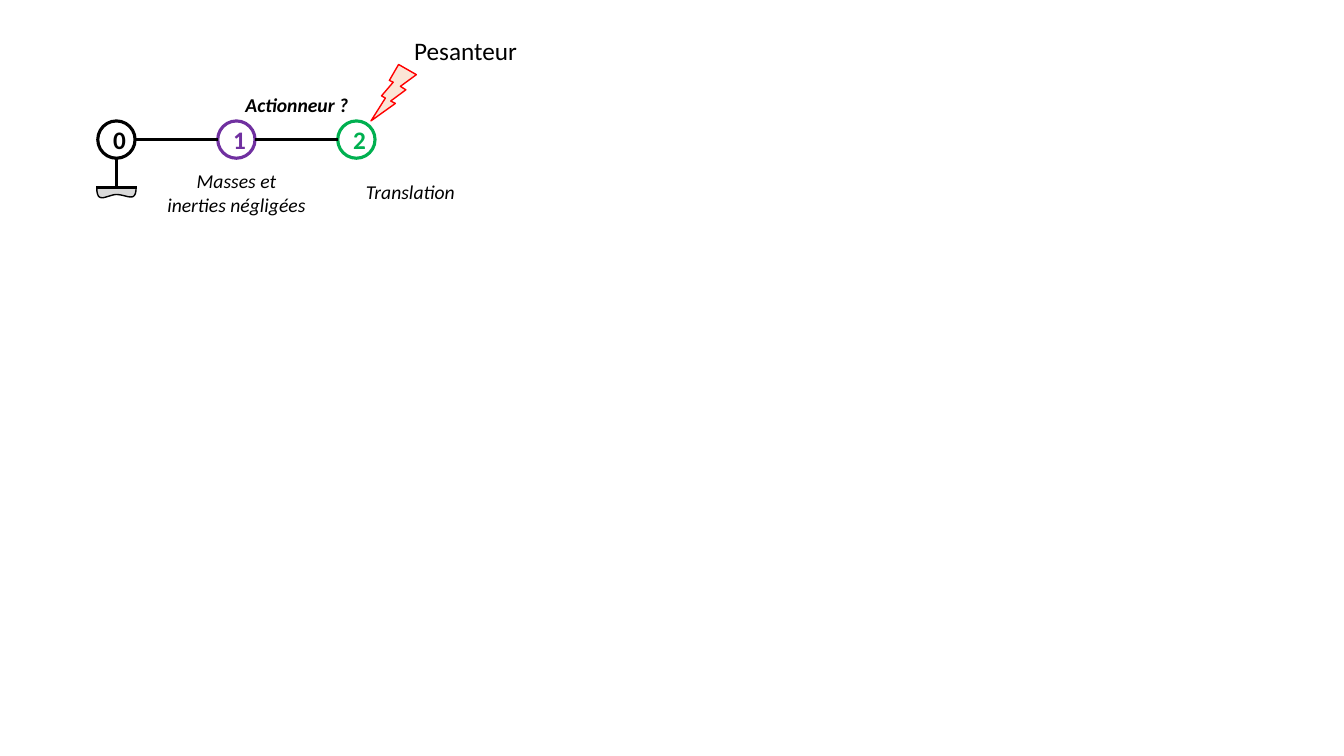
from pptx import Presentation
from pptx.dml.color import RGBColor
from pptx.enum import shapes as sh, text as tx
from pptx.oxml.ns import qn
from pptx.util import Inches, Pt
from lxml import etree

HEX = {"ink": "000000", "violet": "7030A0", "green": "00B050",
       "red": "FF0000", "peach": "FBE5D6", "grey": "D9D9D9"}
FONT = "Calibri"
DIAM, LEFT, TOP, STEP = 0.37, 0.97, 1.2, 1.19
THICK, THIN = 2.25, 1

SOLIDS = [("0", "ink"), ("1", "violet"), ("2", "green")]

# text, box, size, bold, italic, centred
LABELS = [
    ("Pesanteur", (4.01, 0.3, 2, 0.4), 18, False, False, False),
    ("Translation", (3.53, 1.74, 1.61, 0.34), 14, False, True, False),
    ("Masses et inerties négligées", (1.54, 1.63, 1.61, 0.57), 14, False, True, True),
    ("Actionneur ?", (2.14, 0.87, 1.61, 0.34), 14, True, True, True),
]
BOLT = (3.68, 0.64, 0.45, 0.56)
GROUND = 1.86
SOIL = [
    [(0.96, 1.86), (0.96, 2.03), (1.05, 1.94), (1.15, 1.93)],
    [(1.15, 1.93), (1.26, 1.93), (1.35, 2.02), (1.35, 1.86)],
]


def color(name):
    """Return the named colour."""
    return RGBColor.from_string(HEX[name])


def paint(shape, line, width, fill=None):
    """Set outline and fill, without shadow."""
    shape.shadow.inherit = False
    shape.line.color.rgb = color(line)
    shape.line.width = Pt(width)
    if fill:
        shape.fill.solid()
        shape.fill.fore_color.rgb = color(fill)
    else:
        shape.fill.background()


def write(shape, words, size, tint="ink", bold=False, italic=False, mid=True):
    """Put one formatted paragraph in a shape."""
    frame = shape.text_frame
    frame.word_wrap = True
    frame.text = words
    para = frame.paragraphs[0]
    para.alignment = tx.PP_ALIGN.CENTER if mid else tx.PP_ALIGN.LEFT
    font = para.runs[0].font
    font.name, font.size = FONT, Pt(size)
    font.bold, font.italic = bold, italic
    font.color.rgb = color(tint)


def link(x1, y1, x2, y2):
    """Draw a thick straight line."""
    line = slide.shapes.add_connector(
        sh.MSO_CONNECTOR.STRAIGHT, *map(Inches, (x1, y1, x2, y2)))
    line.line.color.rgb = color("ink")
    line.line.width = Pt(THICK)
    etree.SubElement(line._element.spPr, qn("a:effectLst"))


def curve(ends, steps=12):
    """Sample a cubic curve as points in EMU."""
    for k in range(1, steps + 1):
        t = k / steps
        parts = ((1 - t) ** 3, 3 * t * (1 - t) ** 2, 3 * t * t * (1 - t), t ** 3)
        yield tuple(Inches(sum(w * p[i] for w, p in zip(parts, ends)))
                    for i in (0, 1))


deck = Presentation()
deck.slide_width, deck.slide_height = Inches(13.33), Inches(7.5)
slide = deck.slides.add_slide(deck.slide_layouts[6])

pen = slide.shapes.build_freeform(*map(Inches, SOIL[0][0]))
pen.add_line_segments([p for ends in SOIL for p in curve(ends)], close=False)
paint(pen.convert_to_shape(), "ink", THIN, "grey")

axis = TOP + DIAM / 2
for i, (name, tint) in enumerate(SOLIDS):
    x = LEFT + i * STEP
    node = slide.shapes.add_shape(
        sh.MSO_SHAPE.OVAL, *map(Inches, (x, TOP, DIAM, DIAM)))
    paint(node, tint, THICK)
    write(node, name, 18, tint, bold=True)
    node.text_frame.vertical_anchor = tx.MSO_ANCHOR.MIDDLE
    if i:
        link(x - STEP + DIAM, axis, x, axis)

stem = LEFT + DIAM / 2
link(stem, TOP + DIAM, stem, GROUND)
link(stem + 0.2, GROUND, stem - 0.2, GROUND)

bolt = slide.shapes.add_shape(sh.MSO_SHAPE.LIGHTNING_BOLT, *map(Inches, BOLT))
paint(bolt, "red", THIN, "peach")
bolt._element.spPr.find(qn("a:xfrm")).set("flipH", "1")

for words, box, size, bold, italic, mid in LABELS:
    label = slide.shapes.add_textbox(*map(Inches, box))
    write(label, words, size, bold=bold, italic=italic, mid=mid)
    label.text_frame.auto_size = tx.MSO_AUTO_SIZE.SHAPE_TO_FIT_TEXT

deck.save("out.pptx")
